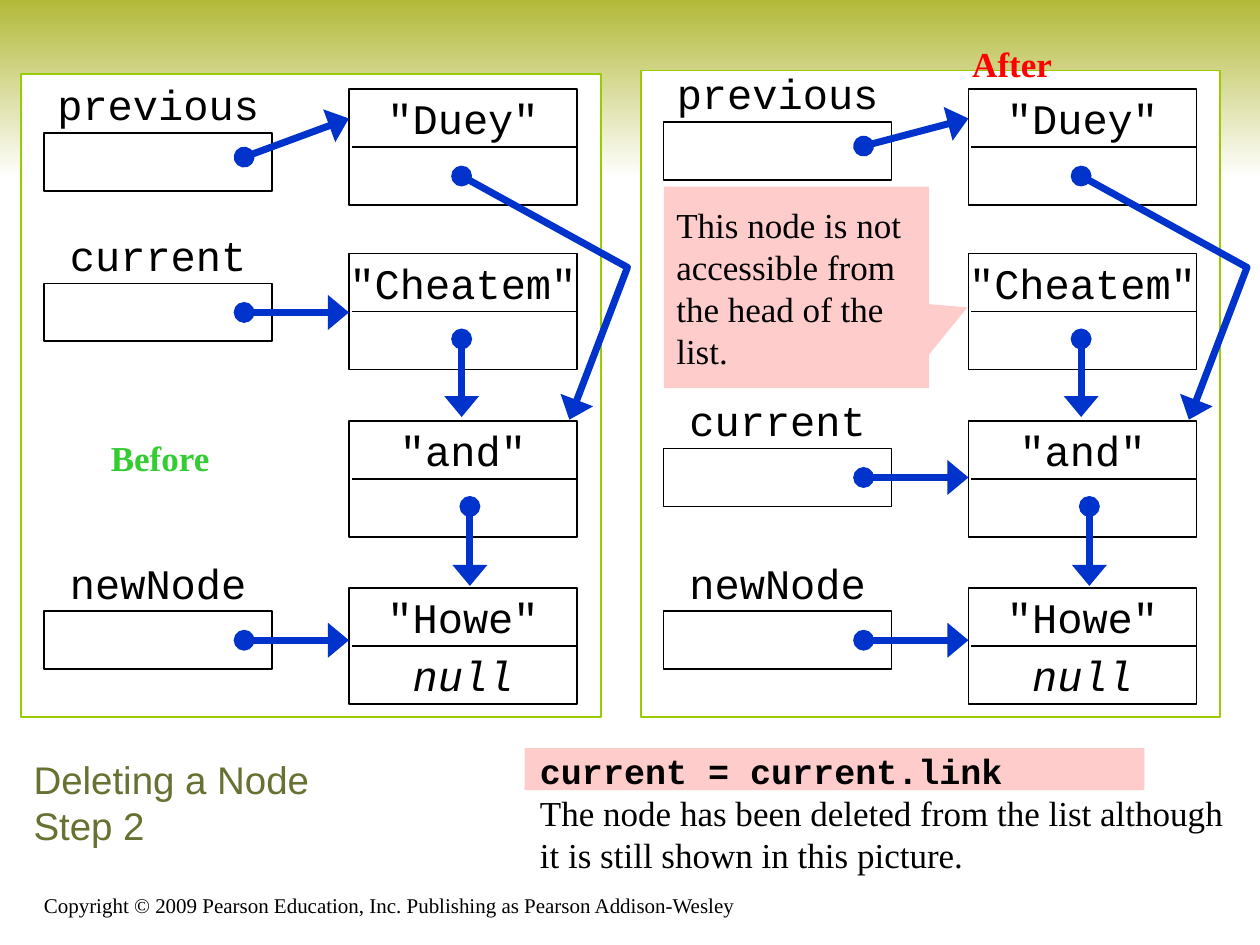
from lxml import etree
from pptx import Presentation
from pptx.dml.color import RGBColor
from pptx.enum.shapes import MSO_CONNECTOR, MSO_SHAPE
from pptx.enum.text import MSO_ANCHOR, PP_ALIGN
from pptx.oxml.ns import qn
from pptx.util import Pt

RECTANGLE = MSO_SHAPE.RECTANGLE
CALLOUT = MSO_SHAPE.RECTANGULAR_CALLOUT
STRAIGHT = MSO_CONNECTOR.STRAIGHT
LEFT, CENTER = PP_ALIGN.LEFT, PP_ALIGN.CENTER
TOP, MIDDLE, BOTTOM = MSO_ANCHOR.TOP, MSO_ANCHOR.MIDDLE, MSO_ANCHOR.BOTTOM

BLACK, WHITE, BLUE, GREEN, PINK = "000000", "FFFFFF", "0033CC", "99CC00", "FFCCCC"
MONO, SERIF, SANS = "Courier New", "Times New Roman", "Arial"
CELL_WIDTH, CELL_HEIGHT = 130.3, 33.1
PANEL_WIDTH, PANEL_BOTTOM = 331.2, 409.7
NODE_TOPS = {'"Duey"': 51, '"Cheatem"': 144.9, '"and"': 240.5, '"Howe"': 336}


def color(value):
    """Turn a hex string into a colour."""
    return RGBColor.from_string(value)


def write(para, text, font=MONO, size=24, ink=BLACK, bold=False, italic=False, align=LEFT):
    """Write formatted text into a paragraph."""
    para.text = text
    para.alignment = align
    for span in para.runs:
        span.font.name, span.font.size = font, Pt(size)
        span.font.bold, span.font.italic = bold, italic
        span.font.color.rgb = color(ink)
    for line_break in para._p.findall(qn("a:br")):
        etree.SubElement(line_break, qn("a:rPr"), sz=str(size * 100))


def add_text(page, box, text, wrap=False, anchor=TOP, **style):
    """Add a text box with one formatted paragraph and return its frame."""
    frame = page.shapes.add_textbox(*map(Pt, box)).text_frame
    frame.word_wrap, frame.vertical_anchor = wrap, anchor
    write(frame.paragraphs[0], text, **style)
    return frame


def add_box(page, box, fill=WHITE, line=None, kind=RECTANGLE):
    """Add a flat filled shape, outlined when a line colour is given."""
    shape = page.shapes.add_shape(kind, *map(Pt, box))
    shape.shadow.inherit = False
    shape.fill.solid()
    shape.fill.fore_color.rgb = color(fill)
    if line:
        shape.line.color.rgb = color(line)
        shape.line.width = Pt(1)
    else:
        shape.line.fill.background()
    return shape


def style_arrow(shape):
    """Give a line the thick blue stroke, round start and wide triangle end."""
    shape.line.color.rgb = color(BLUE)
    shape.line.width = Pt(4)
    stroke = shape.line._get_or_add_ln()
    etree.SubElement(stroke, qn("a:headEnd"), type="oval")
    etree.SubElement(stroke, qn("a:tailEnd"), type="triangle", w="lg", len="med")


def add_line(page, start, end):
    """Add a thin black straight line without shadow."""
    line = page.shapes.add_connector(STRAIGHT, *map(Pt, (*start, *end)))
    line.line.color.rgb = color(BLACK)
    line.line.width = Pt(1)
    etree.SubElement(line._element.spPr, qn("a:effectLst"))
    return line


def add_arrow(page, start, end):
    """Add a straight link arrow."""
    style_arrow(add_line(page, start, end))


def add_bent_arrow(page, points):
    """Add a link arrow that runs through several points."""
    start, *rest = [(Pt(x), Pt(y)) for x, y in points]
    builder = page.shapes.build_freeform(*start)
    builder.add_line_segments(rest, close=False)
    arrow = builder.convert_to_shape()
    arrow.shadow.inherit = False
    arrow.fill.background()
    style_arrow(arrow)


def add_cell_text(page, left, top, text, **style):
    """Centre text in one cell-sized box without side margins."""
    frame = add_text(page, (left, top, CELL_WIDTH, CELL_HEIGHT), text,
                     anchor=MIDDLE, align=CENTER, **style)
    frame.margin_left = frame.margin_right = 0


def add_node(page, left, top, name):
    """Draw a list node with a data cell above a link cell."""
    add_box(page, (left, top, CELL_WIDTH, 2 * CELL_HEIGHT), line=BLACK)
    add_cell_text(page, left, top, name)
    middle = top + CELL_HEIGHT
    add_line(page, (left + 1.5, middle), (left + CELL_WIDTH, middle))


def add_pointer(page, left, top, name, tip, start_drop=CELL_HEIGHT / 2):
    """Draw a named variable box with an arrow to the node it refers to."""
    add_box(page, (left, top, CELL_WIDTH, CELL_HEIGHT), line=BLACK)
    add_cell_text(page, left, top - CELL_HEIGHT, name)
    add_arrow(page, (left + 114.3, top + start_drop), tip)


def add_panel(page, left, top, previous_top, current_top):
    """Draw one state of the linked list with its three variables."""
    add_box(page, (left, top, PANEL_WIDTH, PANEL_BOTTOM - top), line=GREEN)
    node_left, pointer_left = left + 187.2, left + 13
    for name, node_top in NODE_TOPS.items():
        add_node(page, node_left, node_top, name)
    add_cell_text(page, node_left, NODE_TOPS['"Howe"'] + CELL_HEIGHT, "null", italic=True)
    add_pointer(page, pointer_left, previous_top, "previous", (node_left, 67.7), start_drop=13.7)
    for name, pointer_top in (("current", current_top), ("newNode", 349.3)):
        tip = (node_left, pointer_top + CELL_HEIGHT / 2)
        add_pointer(page, pointer_left, pointer_top, name, tip)
    for offset, start, end in ((64.4, 193.7, 238.3), (69.1, 289.4, 334.8)):
        add_arrow(page, (node_left + offset, start), (node_left + offset, end))
    add_bent_arrow(page, [(node_left + 64.4, 100.6), (node_left + 159.2, 152.8),
                          (node_left + 126, 239.8)])


def add_header_band(page, box):
    """Draw the band that fades from olive to white."""
    band = add_box(page, box)
    band.fill.gradient()
    band.fill.gradient_angle = 270
    for stop, value in zip(band.fill.gradient_stops, ("B2B938", WHITE)):
        stop.color.rgb = color(value)


def add_title(page, box):
    """Place and format the title."""
    title = page.shapes.title
    title.left, title.top, title.width, title.height = map(Pt, box)
    title.text_frame.vertical_anchor = MIDDLE
    write(title.text_frame.paragraphs[0], "Deleting a Node\vStep 2",
          font=SANS, size=22, ink="677132")


def add_explanation(page, box):
    """Add the code statement and what it does."""
    left, top, width, height = box
    add_box(page, (left - 1.7, top + 2.7, 354.2, 24), fill=PINK)
    frame = add_text(page, box, "current = current.link", wrap=True, size=20, bold=True)
    write(frame.add_paragraph(),
          "The node has been deleted from the list although it is still shown in this picture.",
          font=SERIF, size=20)


def add_callout(page, box):
    """Add the remark that points at the deleted node."""
    callout = add_box(page, box, fill=PINK, kind=CALLOUT)
    callout.adjustments[0], callout.adjustments[1] = 0.644, 0.1
    frame = callout.text_frame
    frame.word_wrap, frame.vertical_anchor = True, MIDDLE
    write(frame.paragraphs[0], "This node is not accessible from the head of the list.",
          font=SERIF, size=20)


def main():
    """Build the slide and save the deck."""
    deck = Presentation()
    deck.slide_width, deck.slide_height = Pt(720), Pt(540)
    page = deck.slides.add_slide(deck.slide_layouts[5])
    add_header_band(page, (0, 0, 720, 102))
    add_text(page, (18, 498, 438, 30), "Copyright © 2009 Pearson Education, Inc. "
             "Publishing as Pearson Addison-Wesley",
             wrap=True, anchor=BOTTOM, font=SERIF, size=12)
    add_title(page, (12, 417, 300, 82.8))
    add_explanation(page, (301.5, 424.8, 412.5, 79.2))
    add_panel(page, 366.2, 40.3, previous_top=69.8, current_top=256.3)
    add_panel(page, 12.2, 42.3, previous_top=76.1, current_top=162)
    add_text(page, (548.5, 20.5, 59.8, 31.5), "After", font=SERIF, size=20,
             ink="FF0000", bold=True)
    add_text(page, (56.2, 245.8, 71.3, 31.5), "Before", font=SERIF, size=20,
             ink="33CC33", bold=True)
    add_callout(page, (379.4, 106.6, 151.5, 115.2))
    deck.save("out.pptx")


if __name__ == "__main__":
    main()
